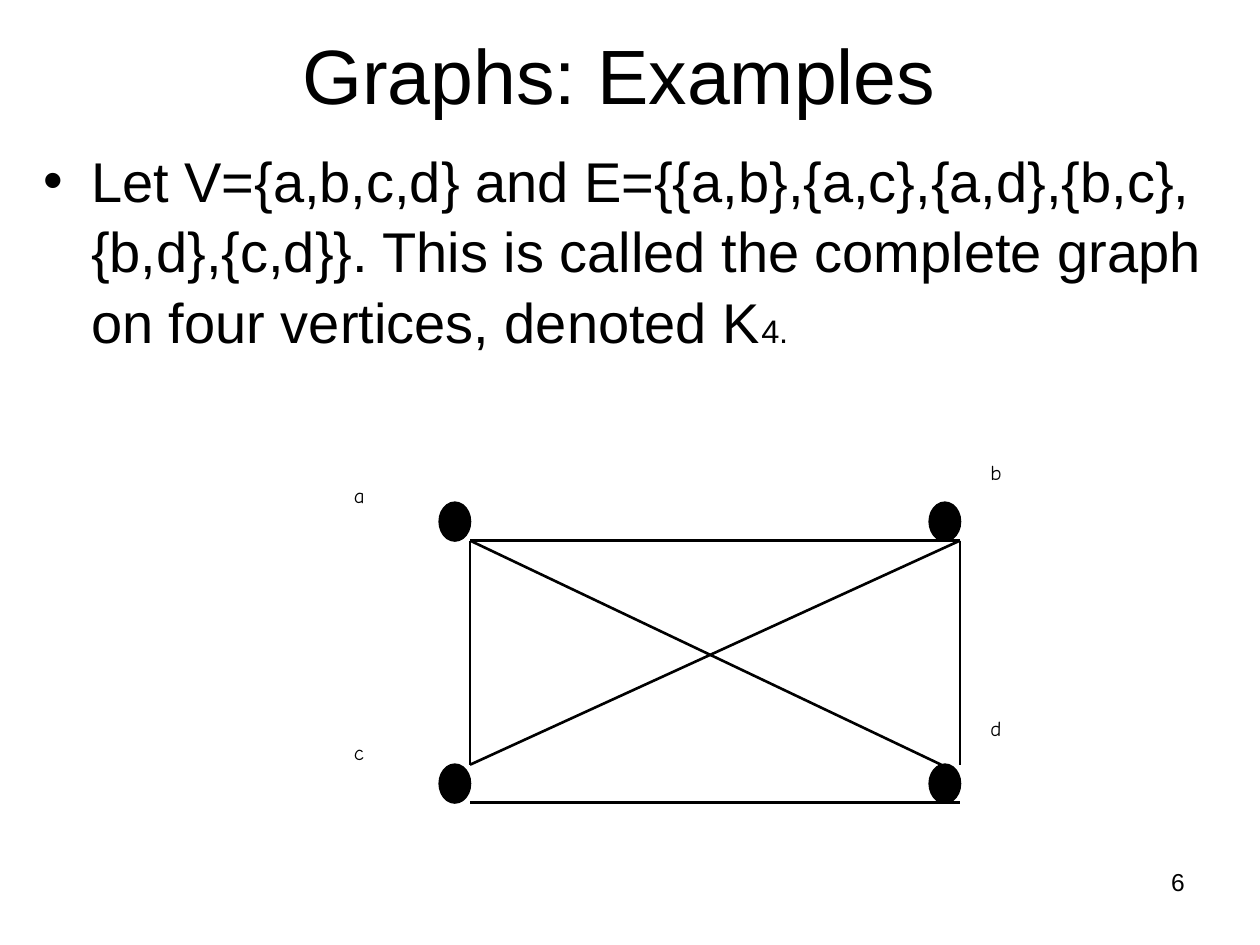
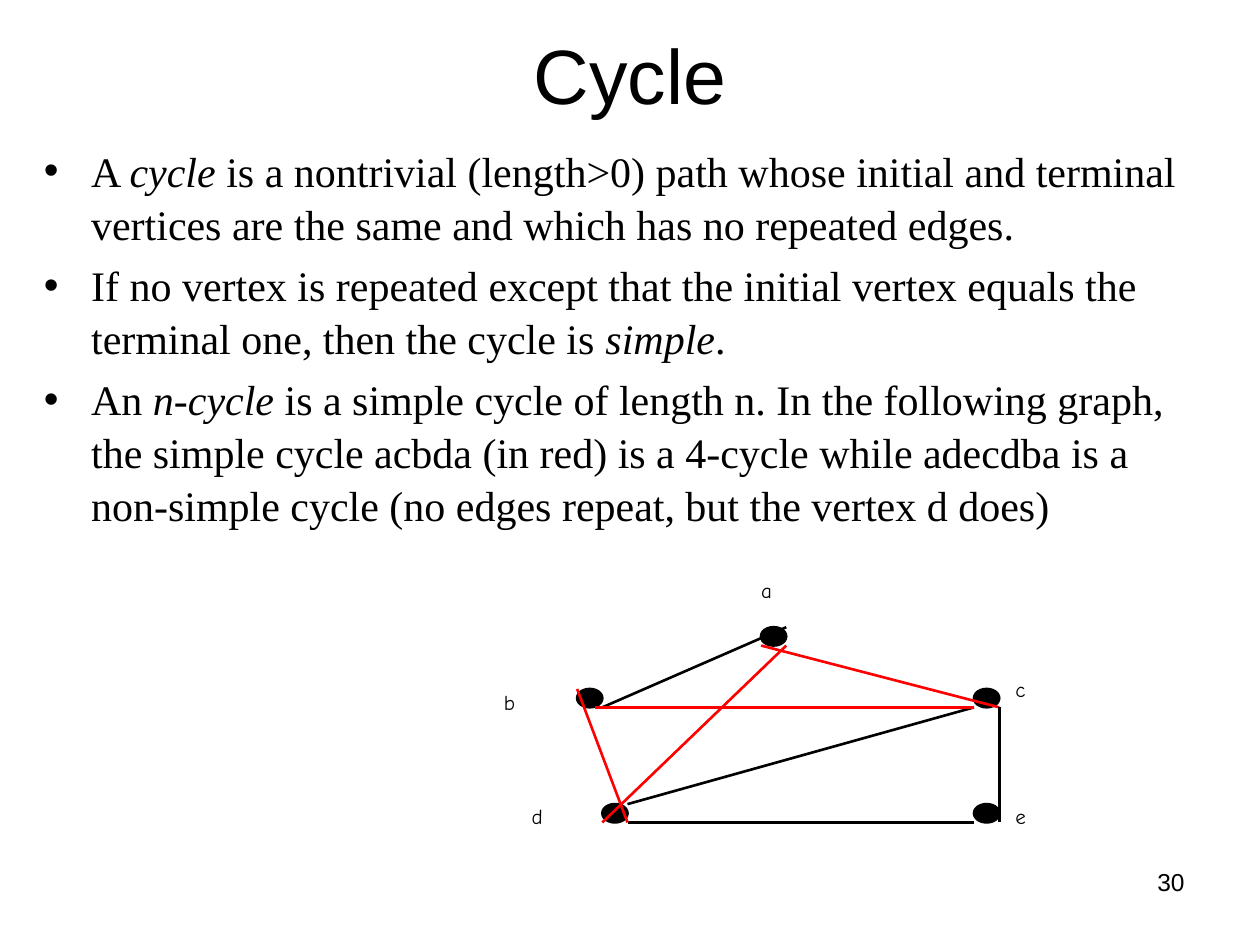
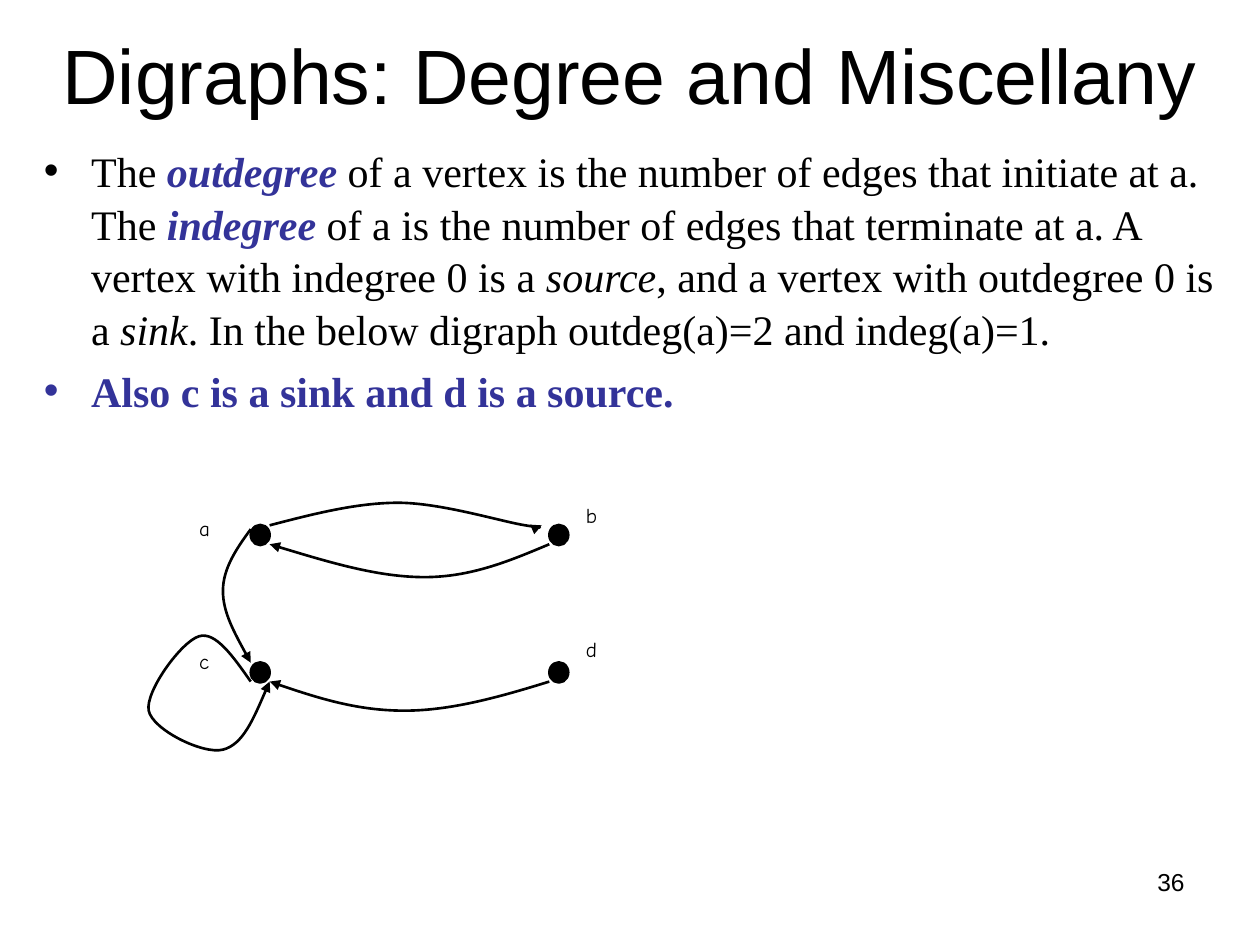
import lxml.etree
import pptx
import pptx.dml.color
import pptx.enum.shapes
import pptx.enum.text
import pptx.oxml.ns
import pptx.util

Pt = pptx.util.Pt
PP_ALIGN = pptx.enum.text.PP_ALIGN
MSO_SHAPE = pptx.enum.shapes.MSO_SHAPE

COLORS = {"ink": "000000", "paper": "FFFFFF", "accent": "333399", "cycle": "FF0000"}
SANS, SERIF, LABEL_FONT = "Arial", "Times New Roman", "Comic Neue"
LINE_WIDTH = 1.5
HANGING_INDENT = 27

# Places on a vertex, as fractions of its width and height
TOP_LEFT, TOP_RIGHT, BOTTOM_LEFT, BOTTOM_RIGHT = (0, 0), (1, 0), (0, 1), (1, 1)

STYLES = {
    "plain": {},
    "italic": {"italic": True},
    "term": {"bold": True, "italic": True, "color": "accent"},
    "remark": {"bold": True, "color": "accent"},
    "subscript": {"baseline": -30},
    "superscript": {"baseline": 30},
}


def rgb(color):
    return pptx.dml.color.RGBColor.from_string(COLORS[color])


def add_child(parent, tag, **attributes):
    child = lxml.etree.SubElement(parent, pptx.oxml.ns.qn(tag))
    for key, value in attributes.items():
        child.set(key, str(value))
    return child


def set_font(font, name, size, color="ink"):
    font.name = name
    font.size = Pt(size)
    font.color.rgb = rgb(color)


def set_line(line, color="ink"):
    line.color.rgb = rgb(color)
    line.width = Pt(LINE_WIDTH)


def start_slide(deck, heading, page_number):
    slide = deck.slides.add_slide(deck.slide_layouts[5])
    title = slide.shapes.title
    title.left, title.top, title.width, title.height = Pt(18), Pt(18), Pt(684), Pt(48)
    title.text_frame.text = heading
    title.text_frame.auto_size = pptx.enum.text.MSO_AUTO_SIZE.NONE
    title.text_frame.vertical_anchor = pptx.enum.text.MSO_ANCHOR.MIDDLE
    title_line = title.text_frame.paragraphs[0]
    title_line.alignment = PP_ALIGN.CENTER
    set_font(title_line.font, SANS, 44)

    footer = slide.shapes.add_textbox(Pt(516), Pt(492), Pt(168), Pt(37.5))
    footer.text_frame.word_wrap = True
    footer_line = footer.text_frame.paragraphs[0]
    footer_line.text = str(page_number)
    footer_line.alignment = PP_ALIGN.RIGHT
    set_font(footer_line.font, SANS, 14)
    return slide


def add_styled_run(paragraph, text, style):
    run = paragraph.add_run()
    run.text = text
    settings = STYLES[style]
    if "bold" in settings:
        run.font.bold = True
    if "italic" in settings:
        run.font.italic = True
    if "color" in settings:
        run.font.color.rgb = rgb(settings["color"])
    if "baseline" in settings:
        run.font._element.set("baseline", str(settings["baseline"]))


def add_bullets(slide, bullets, font_name, size):
    """Each bullet is a list of (text, style name) pairs."""
    body = slide.shapes.add_textbox(Pt(18), Pt(78), Pt(684), Pt(414)).text_frame
    body.word_wrap = True
    for index, pieces in enumerate(bullets):
        paragraph = body.add_paragraph() if index else body.paragraphs[0]
        paragraph.line_spacing = 1.05
        if index:
            paragraph.space_before = Pt(size * 0.2)
        properties = paragraph._p.get_or_add_pPr()
        properties.set("marL", str(Pt(HANGING_INDENT)))
        properties.set("indent", str(-Pt(HANGING_INDENT)))
        add_child(properties, "a:buFont", typeface=SANS)
        add_child(properties, "a:buChar", char="•")
        set_font(paragraph.font, font_name, size)
        for text, style in pieces:
            add_styled_run(paragraph, text, style)


def add_vertices(slide, vertices, size):
    for left, top in vertices.values():
        dot = slide.shapes.add_shape(
            MSO_SHAPE.OVAL, Pt(left), Pt(top), Pt(size[0]), Pt(size[1]))
        dot.shadow.inherit = False
        dot.fill.solid()
        dot.fill.fore_color.rgb = rgb("ink")
        set_line(dot.line)


def add_labels(slide, labels, size):
    for letter, (left, top) in labels.items():
        label = slide.shapes.add_shape(
            MSO_SHAPE.RECTANGLE, Pt(left), Pt(top), Pt(size[0]), Pt(size[1]))
        label.shadow.inherit = False
        label.fill.solid()
        label.fill.fore_color.rgb = rgb("paper")
        label.line.fill.background()
        frame = label.text_frame
        frame.margin_left = frame.margin_right = 0
        frame.margin_top = frame.margin_bottom = 0
        frame.vertical_anchor = pptx.enum.text.MSO_ANCHOR.TOP
        paragraph = frame.paragraphs[0]
        paragraph.text = letter
        paragraph.alignment = PP_ALIGN.LEFT
        set_font(paragraph.font, LABEL_FONT, 12)


def add_edges(slide, vertices, size, edges):
    """Each edge is (vertex, place on it, vertex, place on it, color)."""
    def point(vertex, place):
        return [Pt(start + length * fraction) for start, length, fraction
                in zip(vertices[vertex], size, place)]

    for start, start_place, end, end_place, color in edges:
        edge = slide.shapes.add_connector(
            pptx.enum.shapes.MSO_CONNECTOR.STRAIGHT,
            *point(start, start_place), *point(end, end_place))
        set_line(edge.line, color)
        add_child(edge._element.spPr, "a:effectLst")


def add_curved_arrow(slide, start, segments):
    """Each segment is two control points and an end point of a Bézier curve."""
    builder = slide.shapes.build_freeform(Pt(start[0]), Pt(start[1]))
    builder.add_line_segments(
        [(Pt(x), Pt(y)) for _, _, (x, y) in segments], close=False)
    arrow = builder.convert_to_shape()
    arrow.shadow.inherit = False
    arrow.fill.background()
    set_line(arrow.line)
    add_child(arrow.line._get_or_add_ln(), "a:tailEnd", type="triangle")

    straight_parts = list(arrow._element.iter(pptx.oxml.ns.qn("a:lnTo")))
    for straight, segment in zip(straight_parts, segments):
        outline = straight.getparent()
        curve = add_child(outline, "a:cubicBezTo")
        for x, y in segment:
            add_child(curve, "a:pt", x=Pt(x) - arrow.left, y=Pt(y) - arrow.top)
        outline.replace(straight, curve)


def build_complete_graph(deck):
    slide = start_slide(deck, "Graphs: Examples ", 6)
    add_bullets(slide, [[
        ("Let V={a,b,c,d} and E={{a,b},{a,c},{a,d},{b,c},{b,d},{c,d}}. This is called "
         "the complete graph on four vertices, denoted K", "plain"),
        ("4", "subscript"), (".", "superscript"),
    ]], SANS, 32)
    dot = (17.3, 21.6)
    vertices = {"a": (251.3, 287.3), "b": (531.3, 287.3),
                "c": (251.3, 437), "d": (531.3, 437)}
    add_vertices(slide, vertices, dot)
    add_labels(slide, {"a": (202.3, 275.8), "c": (202.3, 422.6),
                       "d": (566, 409), "b": (566, 262.8)}, (38.2, 67.7))
    add_edges(slide, vertices, dot, [
        ("a", BOTTOM_RIGHT, "b", BOTTOM_RIGHT, "ink"),
        ("c", BOTTOM_RIGHT, "d", BOTTOM_RIGHT, "ink"),
        ("c", TOP_RIGHT, "b", BOTTOM_RIGHT, "ink"),
        ("a", BOTTOM_RIGHT, "c", TOP_RIGHT, "ink"),
        ("b", BOTTOM_RIGHT, "d", TOP_RIGHT, "ink"),
        ("a", BOTTOM_RIGHT, "d", (0.38, 0), "ink"),
    ])


def build_cycle(deck):
    slide = start_slide(deck, "Cycle", 30)
    add_bullets(slide, [
        [("A ", "plain"), ("cycle", "italic"),
         (" is a nontrivial (length>0) path whose initial and terminal vertices are "
          "the same and which has no repeated edges.", "plain")],
        [("If no vertex is repeated except that the initial vertex equals the terminal "
          "one, then the cycle is ", "plain"), ("simple", "italic"), (".", "plain")],
        [("An ", "plain"), ("n-cycle ", "italic"),
         ("is a simple cycle of length n. In the following graph, the simple cycle acbda "
          "(in red) is a 4‑cycle while adecdba is a non-simple cycle (no edges repeat, "
          "but the vertex d does)", "plain")],
    ], SERIF, 24)
    dot = (14.4, 10.5)
    vertices = {"a": (434.9, 358.4), "b": (329.8, 393.7), "c": (556.6, 393.7),
                "d": (344.2, 459.5), "e": (556.6, 459.5)}
    add_vertices(slide, vertices, dot)
    add_labels(slide, {"a": (434.9, 329.8), "b": (288, 393.8), "c": (580.3, 386.6),
                       "d": (303.8, 459.4), "e": (580.3, 459.4)}, (25.9, 19.8))
    add_edges(slide, vertices, dot, [
        ("a", TOP_RIGHT, "b", BOTTOM_RIGHT, "ink"),
        ("a", BOTTOM_LEFT, "c", BOTTOM_RIGHT, "cycle"),
        ("c", BOTTOM_LEFT, "d", TOP_RIGHT, "ink"),
        ("d", BOTTOM_RIGHT, "e", BOTTOM_LEFT, "ink"),
        ("a", BOTTOM_RIGHT, "d", BOTTOM_LEFT, "cycle"),
        ("b", TOP_LEFT, "d", BOTTOM_RIGHT, "cycle"),
        ("b", (0.7, 1), "c", BOTTOM_LEFT, "cycle"),
        ("c", BOTTOM_RIGHT, "e", BOTTOM_RIGHT, "ink"),
    ])


def build_digraph(deck):
    slide = start_slide(deck, "Digraphs: Degree and Miscellany", 36)
    add_bullets(slide, [
        [("The ", "plain"), ("outdegree", "term"),
         (" of a vertex is the number of edges that initiate at a. The ", "plain"),
         ("indegree", "term"),
         (" of a is the number of edges that terminate at a. A vertex with indegree 0 "
          "is a ", "plain"), ("source", "italic"),
         (", and a vertex with outdegree 0 is a ", "plain"), ("sink", "italic"),
         (". In the below digraph outdeg(a)=2 and indeg(a)=1.", "plain")],
        [("Also c is a sink and d is a source.", "remark")],
    ], SERIF, 24)
    add_vertices(slide, {"a": (143.3, 300), "b": (313.9, 300),
                         "c": (143.3, 378.5), "d": (313.9, 378.5)}, (10.8, 11.5))
    add_labels(slide, {"a": (113.8, 294.5), "c": (113.8, 370.8),
                       "d": (334.8, 363.6), "b": (334.8, 287.3)}, (23, 35.3))
    a_to_b = ((154.1, 300.2), [
        ((178.6, 293.8), (203.8, 287.3), (227.5, 287.3)),
        ((252, 287.3), (286.6, 298.1), (300.2, 300.2)),
        ((313.9, 302.4), (311.8, 301), (309.6, 300.2))])
    b_to_a = ((313.9, 311), [
        ((291.6, 320.4), (269.3, 329.8), (242.6, 329.8)),
        ((216, 329.8), (185, 320.4), (154.1, 311))])
    a_to_c = ((143.3, 302.4), [
        ((135.4, 313.2), (127.4, 324.7), (127.4, 337.7)),
        ((127.4, 349.9), (135.4, 364.3), (143.3, 378.7))])
    d_to_c = ((313.9, 389.5), [
        ((285.8, 398.2), (257.8, 406.1), (231.1, 406.1)),
        ((204.5, 406.1), (179.3, 398.2), (154.1, 389.5))])
    c_loop = ((143.3, 389.5), [
        ((133.2, 375.1), (123.1, 360.7), (113.8, 363.6)),
        ((103.7, 366.5), (82.8, 395.3), (85, 406.1)),
        ((87.1, 416.9), (115.9, 431.3), (127.4, 428.4)),
        ((139, 425.5), (146.2, 407.5), (154.1, 389.5))])
    for start, segments in (a_to_b, b_to_a, a_to_c, d_to_c, c_loop):
        add_curved_arrow(slide, start, segments)


def main():
    deck = pptx.Presentation()
    deck.slide_width, deck.slide_height = Pt(720), Pt(540)
    build_complete_graph(deck)
    build_cycle(deck)
    build_digraph(deck)
    deck.save("out.pptx")


if __name__ == "__main__":
    main()
